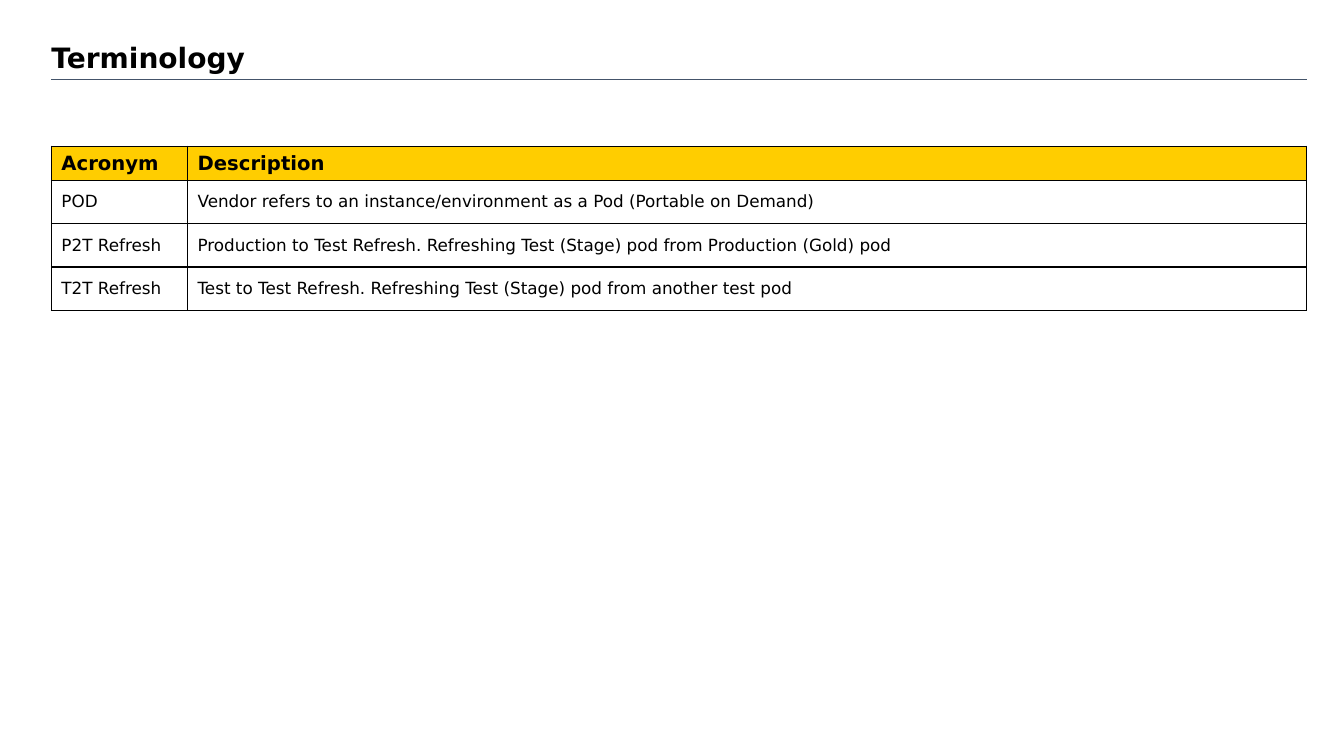
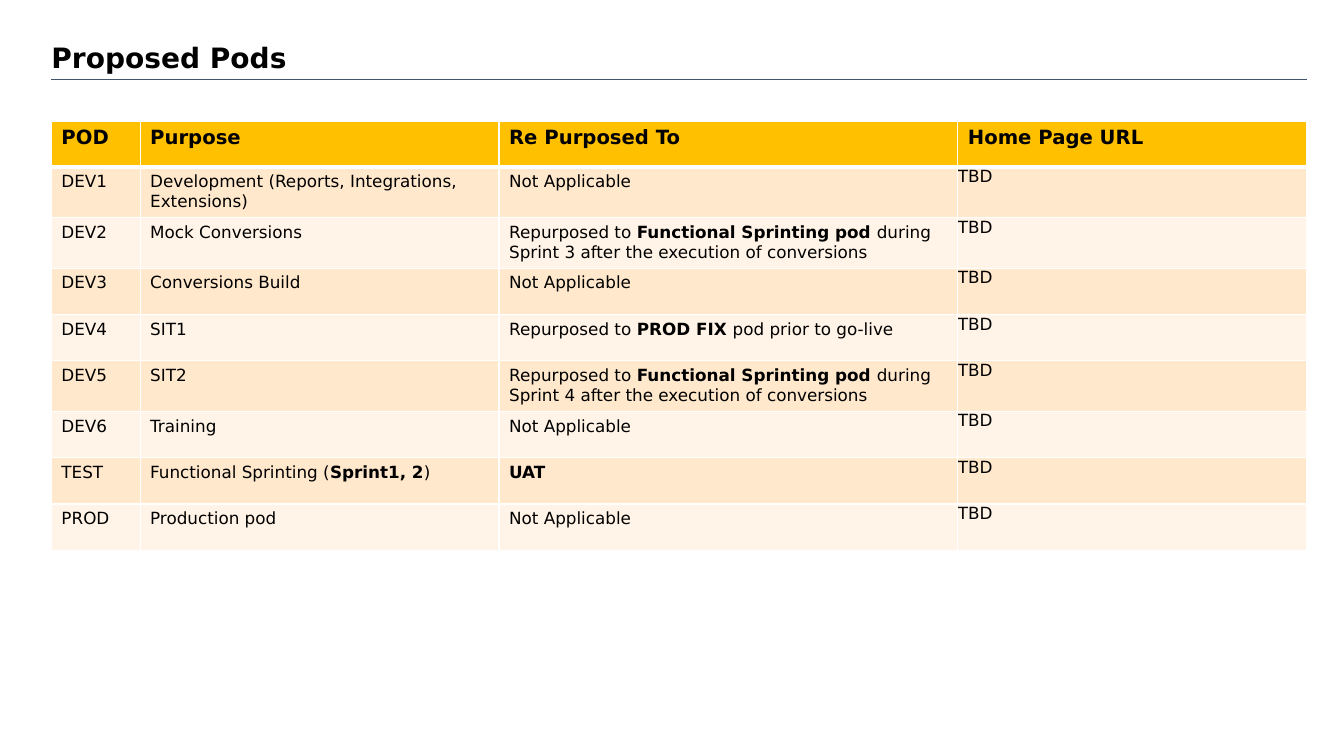
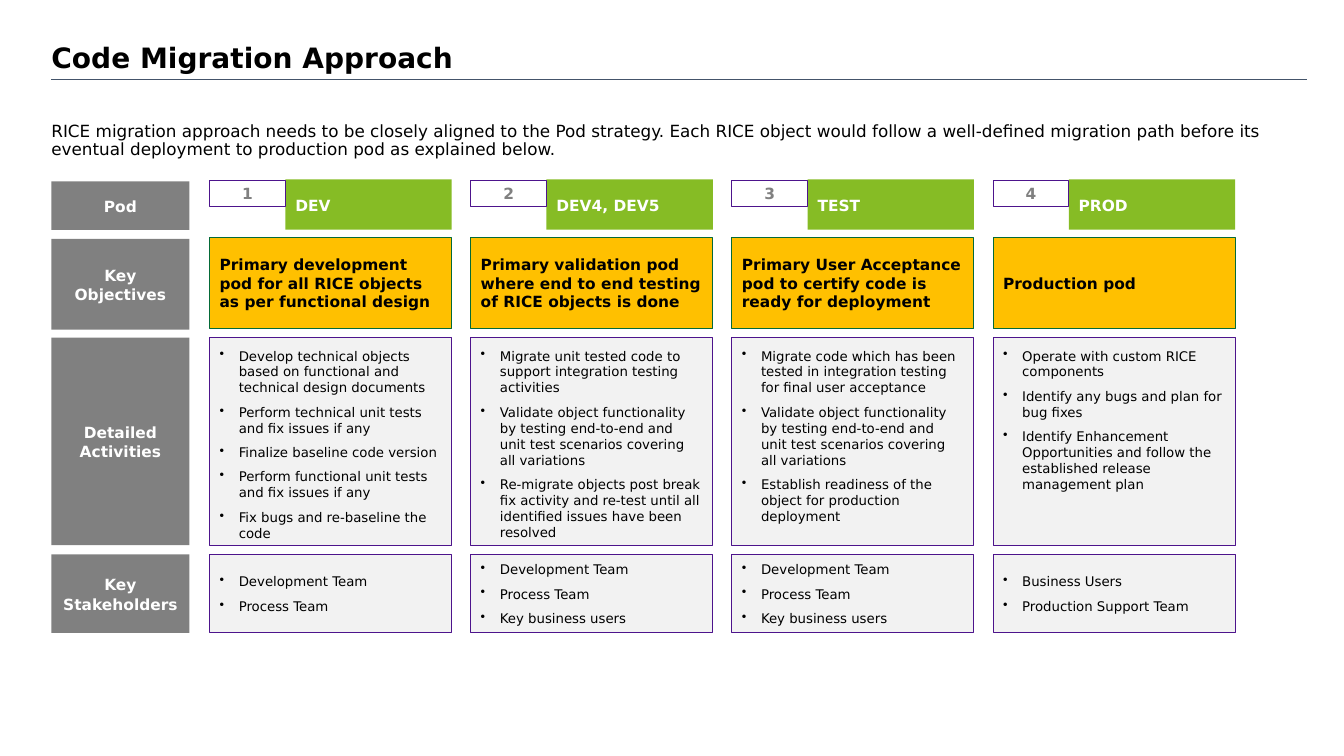
from lxml import etree
from pptx import Presentation
from pptx.dml.color import RGBColor
from pptx.enum.shapes import MSO_CONNECTOR, MSO_SHAPE
from pptx.enum.text import MSO_ANCHOR, PP_ALIGN
from pptx.oxml.ns import qn
from pptx.util import Emu, Pt

RECT = MSO_SHAPE.RECTANGLE
STRAIGHT = MSO_CONNECTOR.STRAIGHT
TOP, MIDDLE = MSO_ANCHOR.TOP, MSO_ANCHOR.MIDDLE
LEFT, CENTER = PP_ALIGN.LEFT, PP_ALIGN.CENTER

PX = 9144
FONT = "DejaVu Sans"
COLORS = {
    "black": "000000",
    "white": "FFFFFF",
    "rule": "44546A",
    "yellow": "FFCD00",
    "amber": "FFC000",
    "band_dark": "FFE8CC",
    "band_light": "FFF4E7",
    "grey": "808080",
    "pale": "F2F2F2",
    "green": "86BC25",
    "dark_green": "046A38",
    "purple": "4D148C",
}

MARGIN = 51
CONTENT_W = 1245
LABEL_W = 137
STAGE_X, STAGE_STEP, STAGE_W = 208, 259, 240
NUMBER_W = 75
INDENT = 19

TERMS = [
    ["Acronym", "Description"],
    ["POD", "Vendor refers to an instance/environment as a Pod (Portable on Demand)"],
    ["P2T Refresh", "Production to Test Refresh. Refreshing Test (Stage) pod from Production (Gold) pod"],
    ["T2T Refresh", "Test to Test Refresh. Refreshing Test (Stage) pod from another test pod"],
]

SPRINTING = "Repurposed to **Functional Sprinting pod **during Sprint {} after the execution of conversions"
PODS = [
    ["POD", "Purpose", "Re Purposed To", "Home Page URL"],
    ["DEV1", "Development (Reports, Integrations, Extensions)", "Not Applicable", "TBD"],
    ["DEV2", "Mock Conversions", SPRINTING.format(3), "TBD"],
    ["DEV3", "Conversions Build", "Not Applicable", "TBD"],
    ["DEV4", "SIT1", "Repurposed to **PROD FIX **pod prior to go-live", "TBD"],
    ["DEV5", "SIT2", SPRINTING.format(4), "TBD"],
    ["DEV6", "Training", "Not Applicable", "TBD"],
    ["TEST", "Functional Sprinting (**Sprint1, 2**)", "**UAT**", "TBD"],
    ["PROD", "Production pod", "Not Applicable", "TBD"],
]

INTRO = (
    "RICE migration approach needs to be closely aligned to the Pod strategy. "
    "Each RICE object would follow a well-defined migration path before its "
    "eventual deployment to production pod as explained below."
)
LABELS = [
    ("Pod", 180, 48),
    ("Key Objectives", 237, 90),
    ("Detailed Activities", 335, 206),
    ("Key Stakeholders", 550, 78),
]
VALIDATE = (
    "Validate object functionality by testing end-to-end and unit test "
    "scenarios covering all variations"
)
TEAMS = ["Development Team", "Process Team"]
STAGES = [
    (
        "DEV",
        "Primary development pod for all RICE objects as per functional design",
        [
            "Develop technical objects based on functional and technical design documents",
            "Perform technical unit tests and fix issues if any",
            "Finalize baseline code version",
            "Perform functional unit tests and fix issues if any",
            "Fix bugs and re-baseline the code",
        ],
        TEAMS,
    ),
    (
        "DEV4, DEV5",
        "Primary validation pod where end to end testing of RICE objects is done",
        [
            "Migrate unit tested code to support integration testing activities",
            VALIDATE,
            "Re-migrate objects post break fix activity and re-test until all "
            "identified issues have been resolved",
        ],
        TEAMS + ["Key business users"],
    ),
    (
        "TEST",
        "Primary User Acceptance pod to certify code is ready for deployment",
        [
            "Migrate code which has been tested in integration testing for final user acceptance",
            VALIDATE,
            "Establish readiness of the object for production deployment",
        ],
        TEAMS + ["Key business users"],
    ),
    (
        "PROD",
        "Production pod",
        [
            "Operate with custom RICE components",
            "Identify any bugs and plan for bug fixes",
            "Identify Enhancement Opportunities and follow the established release management plan",
        ],
        ["Business Users", "Production Support Team"],
    ),
]


def px(n):
    return Emu(n * PX)


def rgb(name):
    return RGBColor.from_string(COLORS[name])


def add_bullet(p):
    pPr = p._p.get_or_add_pPr()
    pPr.set("marL", str(px(INDENT)))
    pPr.set("indent", str(px(-INDENT)))
    etree.SubElement(pPr, qn("a:buChar")).set("char", "•")


def write(tf, paras, size, color="black", bold=False, align=LEFT, spacing=1.0, after=0, bullets=False):
    for i, text in enumerate(paras):
        p = tf.add_paragraph() if i else tf.paragraphs[0]
        if bullets:
            add_bullet(p)
        p.alignment = align
        p.line_spacing = spacing
        p.space_after = Pt(after)
        for j, part in enumerate(text.split("**")):
            if part:
                r = p.add_run()
                r.text = part
                r.font.name = FONT
                r.font.size = Pt(size)
                r.font.bold = bold or j % 2 == 1
                r.font.color.rgb = rgb(color)


def set_frame(tf, inset_x=0, inset_y=0, anchor=TOP):
    tf.word_wrap = True
    tf.vertical_anchor = anchor
    tf.margin_left = tf.margin_right = px(inset_x)
    tf.margin_top = tf.margin_bottom = px(inset_y)


def add_text(slide, x, y, w, h, text, size, bold=False):
    sp = slide.shapes.add_textbox(px(x), px(y), px(w), px(h))
    set_frame(sp.text_frame)
    write(sp.text_frame, [text], size, bold=bold, spacing=0.9)


def add_box(slide, x, y, w, h, paras, size, fill=None, line=None, inset_x=10, inset_y=10, anchor=MIDDLE, **style):
    sp = slide.shapes.add_shape(RECT, px(x), px(y), px(w), px(h))
    sp.shadow.inherit = False
    if fill:
        sp.fill.solid()
        sp.fill.fore_color.rgb = rgb(fill)
    else:
        sp.fill.background()
    if line:
        sp.line.color.rgb = rgb(line)
        sp.line.width = Pt(0.75)
    else:
        sp.line.fill.background()
    set_frame(sp.text_frame, inset_x, inset_y, anchor)
    write(sp.text_frame, paras, size, **style)


def add_titled_slide(prs, title):
    slide = prs.slides.add_slide(prs.slide_layouts[6])
    add_text(slide, MARGIN, 44, 1231, 37, title, 20, bold=True)
    rule = slide.shapes.add_connector(STRAIGHT, px(MARGIN), px(79), px(MARGIN + CONTENT_W), px(79))
    rule.line.color.rgb = rgb("rule")
    rule.line.width = Pt(0.5)
    etree.SubElement(rule._element.spPr, qn("a:effectLst"))
    return slide


def set_borders(cell, color, top=1, bottom=1):
    tcPr = cell._tc.get_or_add_tcPr()
    for side, width in (("L", 1), ("R", 1), ("T", top), ("B", bottom)):
        ln = etree.SubElement(tcPr, qn(f"a:ln{side}"), w=str(Pt(width)))
        fill = etree.SubElement(ln, qn("a:solidFill"))
        etree.SubElement(fill, qn("a:srgbClr"), val=COLORS[color])


def add_grid(slide, y, cols, heights, rows, head_fill, bands, border, head_rule=1, anchor=TOP, flush_col=None):
    frame = slide.shapes.add_table(len(rows), len(cols), px(MARGIN), px(y), px(sum(cols)), px(sum(heights)))
    table = frame.table
    table.first_row = table.horz_banding = False
    for col, w in zip(table.columns, cols):
        col.width = px(w)
    for i, row in enumerate(rows):
        head = i == 0
        table.rows[i].height = px(heights[i])
        for j, text in enumerate(row):
            cell = table.cell(i, j)
            flush = j == flush_col and not head
            cell.margin_left = cell.margin_right = px(0 if flush else 10)
            cell.margin_top = cell.margin_bottom = px(0 if flush else 5)
            cell.vertical_anchor = anchor
            set_borders(cell, border, head_rule if i == 1 else 1, head_rule if head else 1)
            cell.fill.solid()
            cell.fill.fore_color.rgb = rgb(head_fill if head else bands[(i - 1) % len(bands)])
            write(cell.text_frame, [text], 14 if head else 12, bold=head)


def add_stage(slide, number, x, pod, objective, activities, stakeholders):
    add_box(slide, x + NUMBER_W, 178, STAGE_W - NUMBER_W, 50, [pod], 11, "green",
            color="white", bold=True, spacing=1.06)
    add_box(slide, x, 179, NUMBER_W, 26, [str(number)], 11, line="purple", inset_x=4, inset_y=4,
            anchor=TOP, color="grey", bold=True, align=CENTER)
    add_box(slide, x, 236, STAGE_W, 90, [objective], 11, "amber", "dark_green", bold=True)
    for y, h, items, anchor in ((335, 206, activities, TOP), (550, 78, stakeholders, MIDDLE)):
        add_box(slide, x, y, STAGE_W, h, items, 9.5, "pale", "purple", anchor=anchor, after=6, bullets=True)


def build_terminology(prs):
    slide = add_titled_slide(prs, "Terminology")
    add_grid(slide, 145, [135, 1110], [34] + [43] * 3, TERMS, "yellow", ["white"], "black", anchor=MIDDLE)


def build_pods(prs):
    slide = add_titled_slide(prs, "Proposed Pods")
    add_grid(slide, 120, [88, 356, 455, 346], [46] * len(PODS), PODS, "amber",
             ["band_dark", "band_light"], "white", head_rule=3, flush_col=3)


def build_migration(prs):
    slide = add_titled_slide(prs, "Code Migration Approach")
    add_text(slide, MARGIN, 122, 1231, 40, INTRO, 12)
    for label, y, h in LABELS:
        add_box(slide, MARGIN, y, LABEL_W, h, [label], 11, "grey", inset_x=5,
                color="white", bold=True, align=CENTER, spacing=1.06)
    for i, stage in enumerate(STAGES):
        add_stage(slide, i + 1, STAGE_X + i * STAGE_STEP, *stage)


def main():
    prs = Presentation()
    prs.slide_width, prs.slide_height = px(1333), px(750)
    build_terminology(prs)
    build_pods(prs)
    build_migration(prs)
    prs.save("out.pptx")


if __name__ == "__main__":
    main()
